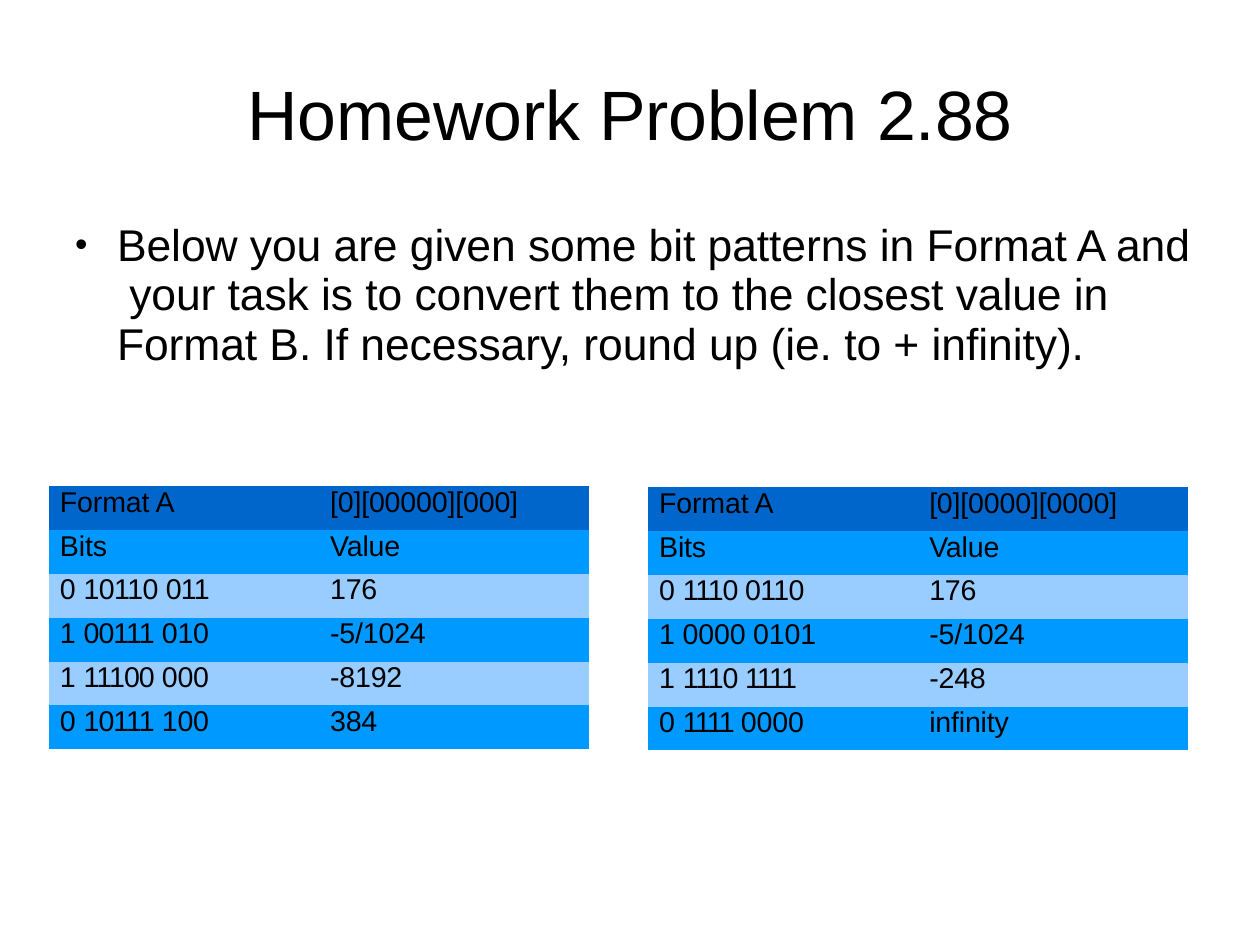
from itertools import pairwise

from lxml.etree import SubElement
from pptx import Presentation
from pptx.dml.color import RGBColor
from pptx.enum.text import MSO_ANCHOR as ANCHOR, MSO_AUTO_SIZE as FIT, PP_ALIGN as ALIGN
from pptx.oxml.ns import qn
from pptx.util import Inches, Pt

PX = 914400 / 114.2
BLACK = RGBColor(0x00, 0x00, 0x00)
HEADER = RGBColor(0x00, 0x66, 0xCC)
DARK_BAND = RGBColor(0x00, 0x99, 0xFF)
LIGHT_BAND = RGBColor(0x99, 0xCC, 0xFF)
NO_STYLE = "{2D5ABB26-0587-4C30-8999-92F81FD0307C}"
CELL_INSET = 11
VALUE_OFFSET = 281
TABLE_SIZE = (540, 263)

FORMAT_5_3 = [
    ("Format A", "[0][00000][000]"),
    ("Bits", "Value"),
    ("0 10110 011", "176"),
    ("1 00111 010", "-5/1024"),
    ("1 11100 000", "-8192"),
    ("0 10111 100", "384"),
]
FORMAT_4_4 = [
    ("Format A", "[0][0000][0000]"),
    ("Bits", "Value"),
    ("0 1110 0110", "176"),
    ("1 0000 0101", "-5/1024"),
    ("1 1110 1111", "-248"),
    ("0 1111 0000", "infinity"),
]


def px(n):
    return round(n * PX)


def set_attrs(obj, **values):
    for name, value in values.items():
        setattr(obj, name, value)


def add_run(p, text, size, spacing):
    r = p.add_run()
    r.text = text
    set_attrs(r.font, name="Arial", size=Pt(size))
    r.font.color.rgb = BLACK
    r.font._element.set("spc", str(spacing))


def fill_placeholder(sp, box, text, size, spacing, inset_top=0, **paragraph):
    set_attrs(sp, **dict(zip(("left", "top", "width", "height"), map(px, box))))
    tf = sp.text_frame
    set_attrs(tf, margin_left=0, margin_right=0, margin_top=px(inset_top),
              margin_bottom=0, word_wrap=True, auto_size=FIT.NONE,
              vertical_anchor=ANCHOR.TOP)
    p = tf.paragraphs[0]
    set_attrs(p, **paragraph)
    add_run(p, text, size, spacing)
    return p


def add_bullet(p, indent):
    pPr = p._p.get_or_add_pPr()
    pPr.set("marL", str(px(indent)))
    pPr.set("indent", str(-px(indent)))
    SubElement(pPr, qn("a:buSzPct")).set("val", "80000")
    SubElement(pPr, qn("a:buFont")).set("typeface", "Arial")
    SubElement(pPr, qn("a:buChar")).set("char", "•")


def word_spacing(word):
    ones = sum(a == b == "1" for a, b in pairwise(word))
    return round(-10 - 133 * ones / len(word))


def fill_cell(cell, text, inset, color):
    set_attrs(cell, margin_left=px(inset), margin_right=0,
              margin_top=0, margin_bottom=0)
    cell.fill.solid()
    cell.fill.fore_color.rgb = color
    p = cell.text_frame.paragraphs[0]
    words = text.split()
    for i, word in enumerate(words):
        tail = " " if i < len(words) - 1 else ""
        add_run(p, word + tail, 18, word_spacing(word))


def add_format_table(slide, left, top, first_col, rows):
    width, height = TABLE_SIZE
    table = slide.shapes.add_table(
        len(rows), 2, px(left), px(top), px(width), px(height)).table
    table._tbl.tblPr.find(qn("a:tableStyleId")).text = NO_STYLE
    set_attrs(table, first_row=False, horz_banding=False)
    table.columns[0].width = px(first_col)
    table.columns[1].width = px(width - first_col)
    insets = (CELL_INSET, VALUE_OFFSET - first_col)
    for i, row in enumerate(rows):
        color = HEADER if i == 0 else DARK_BAND if i % 2 else LIGHT_BAND
        for j, text in enumerate(row):
            fill_cell(table.cell(i, j), text, insets[j], color)


def main():
    prs = Presentation()
    set_attrs(prs, slide_width=Inches(11.03), slide_height=Inches(8.26))
    slide = prs.slides.add_slide(prs.slide_layouts[1])
    title, body = slide.placeholders
    fill_placeholder(title, (67, 47, 1126, 194), "Homework Problem 2.88",
                     44, -10, inset_top=24, alignment=ALIGN.CENTER)
    p = fill_placeholder(
        body, (75, 221, 1125, 149),
        "Below you are given some bit patterns in Format A and  your task is "
        "to convert them to the closest value in  Format B. If necessary, "
        "round up (ie. to + infinity).",
        28, -3, alignment=ALIGN.LEFT, line_spacing=Pt(31.1), space_before=Pt(0))
    add_bullet(p, 42)
    add_format_table(slide, 49, 486, 223, FORMAT_5_3)
    add_format_table(slide, 648, 487, 225, FORMAT_4_4)
    prs.save("out.pptx")


main()
